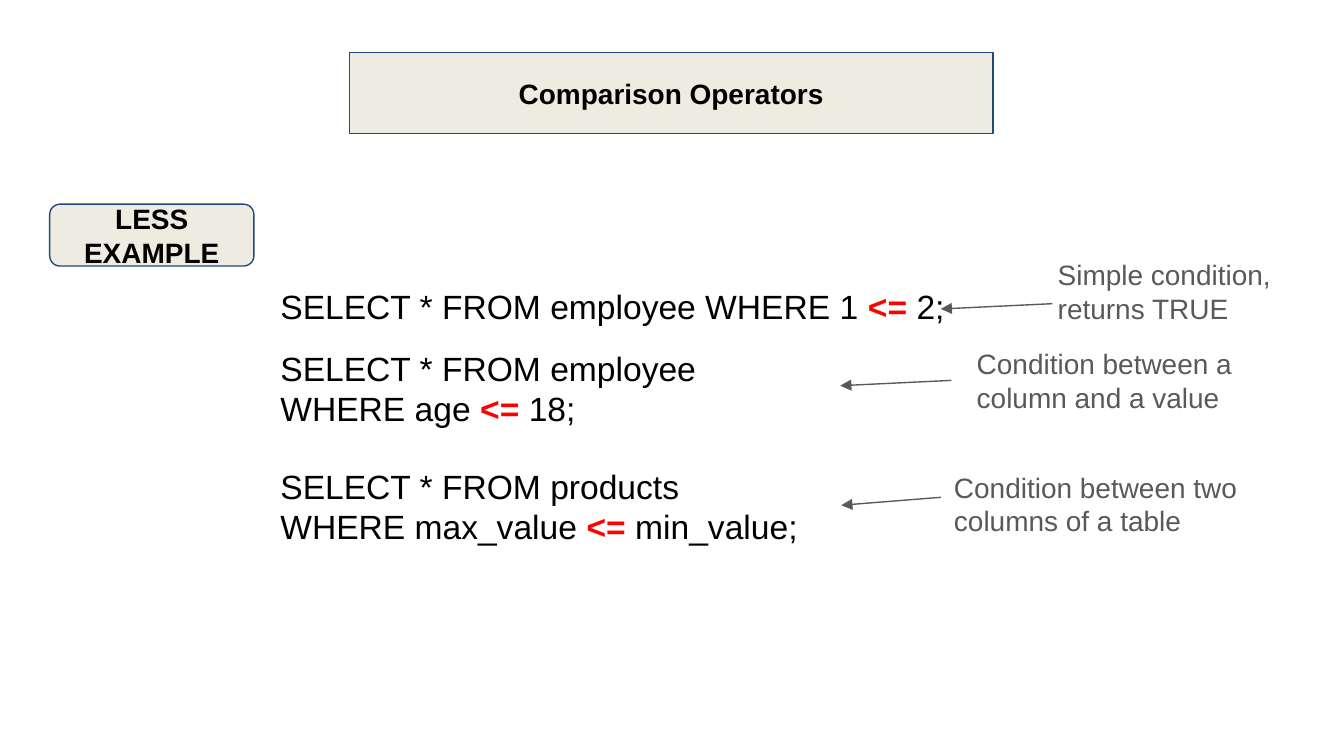
import pptx
import pptx.util
import pptx.dml.color
import pptx.enum.shapes
import pptx.enum.text
import pptx.oxml.ns
from dataclasses import dataclass
from lxml import etree

Cm, Pt = pptx.util.Cm, pptx.util.Pt
RGB = pptx.dml.color.RGBColor.from_string
Align = pptx.enum.text.PP_ALIGN
Anchor = pptx.enum.text.MSO_ANCHOR
qn = pptx.oxml.ns.qn


@dataclass
class Theme:
    font: str = "Arial"
    ink: str = "000000"
    mark: str = "FF0000"
    note: str = "595959"
    fill: str = "EEECE1"
    edge: str = "1F497D"
    code: int = 18
    body: int = 15
    rule: float = 0.75


theme = Theme()


def write(shape, text, size=theme.body, color=theme.ink, bold=False,
          align=Align.LEFT, anchor=Anchor.TOP):
    """Fill a shape with text; each <= in code-sized text is marked."""
    frame = shape.text_frame
    frame.word_wrap = True
    frame.auto_size = pptx.enum.text.MSO_AUTO_SIZE.NONE
    frame.vertical_anchor = anchor
    frame.margin_left = frame.margin_right = Cm(0.25)
    frame.margin_top = frame.margin_bottom = Cm(0.25)
    for i, line in enumerate(text.split("\n")):
        para = frame.paragraphs[0] if i == 0 else frame.add_paragraph()
        para.alignment = align
        head, sign, rest = line.partition("<=")
        for part in filter(None, (head, sign, rest)):
            run = para.add_run()
            run.text = part
            font = run.font
            font.name, font.size = theme.font, Pt(size)
            font.bold = bold or part == "<="
            font.color.rgb = RGB(theme.mark if part == "<=" else color)


deck = pptx.Presentation()
deck.slide_width, deck.slide_height = Cm(25.4), Cm(14.29)
slide = deck.slides.add_slide(deck.slide_layouts[5])
shapes = slide.shapes

# Title, a rounded placeholder
title = shapes.title
title.left, title.top = Cm(6.6), Cm(0.99)
title.width, title.height = Cm(12.17), Cm(1.53)
geom = etree.SubElement(title.element.spPr, qn("a:prstGeom"), prst="roundRect")
etree.SubElement(geom, qn("a:avLst"))

# Example label
label = shapes.add_shape(pptx.enum.shapes.MSO_SHAPE.ROUNDED_RECTANGLE,
                         Cm(0.94), Cm(3.86), Cm(3.86), Cm(1.17))
label.shadow.inherit = False

for box, text in ((title, "Comparison Operators"), (label, "LESS EXAMPLE")):
    box.fill.solid()
    box.fill.fore_color.rgb = RGB(theme.fill)
    box.line.color.rgb = RGB(theme.edge)
    box.line.width = Pt(theme.rule)
    write(box, text, bold=True, align=Align.CENTER, anchor=Anchor.MIDDLE)

# Queries: top, width, text
for top, wide, text in (
    (5.16, 13.34, "SELECT * FROM employee WHERE 1 <= 2;"),
    (6.32, 12.98, "SELECT * FROM employee\nWHERE age <= 18;"),
    (8.56, 12.98, "SELECT * FROM products\nWHERE max_value <= min_value;"),
):
    box = shapes.add_textbox(Cm(5.05), Cm(top), Cm(wide), Cm(1.17))
    write(box, text, size=theme.code)

# Notes with arrows: note box, text, arrow ends, joined to the note's left side
for place, text, ends, joined in (
    ((19.74, 4.62, 4.6, 0.74), "Simple condition, returns TRUE",
     (19.89, 5.74, 17.78, 5.84), False),
    ((18.21, 6.3, 6.73, 1.52), "Condition between a column and a value",
     (17.98, 7.19, 15.88, 7.29), False),
    ((17.78, 8.64, 7.14, 1.52), "Condition between two columns of a table",
     (17.78, 9.4, 15.9, 9.55), True),
):
    note = shapes.add_textbox(*map(Cm, place))
    write(note, text, color=theme.note)
    arrow = shapes.add_connector(pptx.enum.shapes.MSO_CONNECTOR.STRAIGHT,
                                 *map(Cm, ends))
    if joined:
        arrow.begin_connect(note, 1)
    arrow.line.color.rgb = RGB(theme.note)
    arrow.line.width = Pt(theme.rule)
    etree.SubElement(arrow.line._get_or_add_ln(), qn("a:tailEnd"),
                     type="triangle")
    etree.SubElement(arrow.element.spPr, qn("a:effectLst"))

deck.save("out.pptx")
